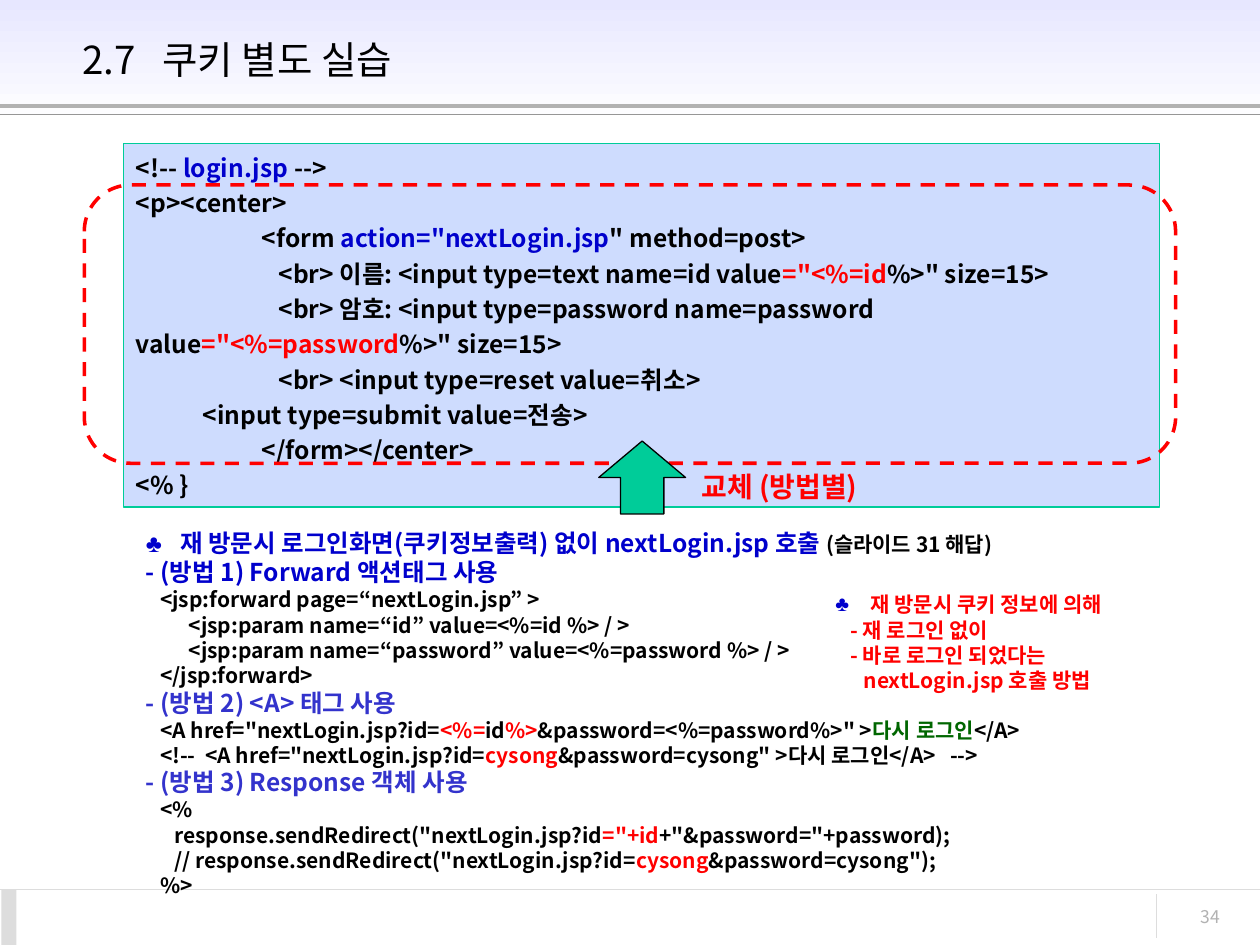
from lxml import etree
from pptx import Presentation
from pptx import util as u
from pptx.dml.color import RGBColor
from pptx.enum import dml, shapes, text
from pptx.oxml import ns

BLACK = RGBColor(0x00, 0x00, 0x00)
WHITE = RGBColor(0xFF, 0xFF, 0xFF)
RED = RGBColor(0xFF, 0x00, 0x00)
BLUE = RGBColor(0x00, 0x00, 0xCC)
VIOLET = RGBColor(0x33, 0x33, 0xCC)
DARK_GREEN = RGBColor(0x00, 0x66, 0x00)
GREEN = RGBColor(0x00, 0xCC, 0x99)
CODE_FILL = RGBColor(0xCE, 0xDC, 0xFE)
LAVENDER = RGBColor(0xE7, 0xE7, 0xFF)
SILVER = RGBColor(0xB2, 0xB2, 0xB2)
GRAY = RGBColor(0x96, 0x96, 0x96)
LIGHT_GRAY = RGBColor(0xDD, 0xDD, 0xDD)


class SlideBuilder:
    font = "Noto Sans CJK KR"
    symbol_font = "Arial"

    def __init__(self, slide):
        self.slide = slide

    def sub(self, parent, tag, **attributes):
        return etree.SubElement(parent, ns.qn(tag), attributes)

    def shape(self, kind, box, fill=None, line=None, width=0.75):
        shape = self.slide.shapes.add_shape(kind, *map(u.Cm, box))
        shape.shadow.inherit = False
        if fill is None:
            shape.fill.background()
        else:
            shape.fill.solid()
            shape.fill.fore_color.rgb = fill
        if line is None:
            shape.line.fill.background()
        else:
            shape.line.color.rgb = line
            shape.line.width = u.Pt(width)
        return shape

    def line(self, start, end, color, width=0.75):
        line = self.slide.shapes.add_connector(
            shapes.MSO_CONNECTOR.STRAIGHT, *map(u.Cm, start + end))
        line.line.color.rgb = color
        line.line.width = u.Pt(width)
        self.sub(line._element.spPr, "a:effectLst")

    def text_box(self, box, paragraphs, **style):
        shape = self.slide.shapes.add_textbox(*map(u.Cm, box))
        self.fill_text(shape.text_frame, paragraphs, **style)
        return shape

    def fill_text(self, frame, paragraphs, anchor=text.MSO_ANCHOR.TOP, **style):
        """Fill a frame; each paragraph is a list of runs."""
        frame.word_wrap = True
        frame.vertical_anchor = anchor
        for i, runs in enumerate(paragraphs):
            paragraph = frame.paragraphs[0] if i == 0 else frame.add_paragraph()
            self.paragraph(paragraph, runs, **style)

    def paragraph(self, paragraph, runs, size=12, bold=True, spacing=1.0,
                  align=text.PP_ALIGN.LEFT, tab=None):
        """A run is a string or (string, colour[, size[, font]])."""
        paragraph_format = {"alignment": align, "line_spacing": spacing}
        for name, value in paragraph_format.items():
            setattr(paragraph, name, value)
        if tab and "\t" in "".join(r if isinstance(r, str) else r[0] for r in runs):
            tabs = self.sub(paragraph._p.get_or_add_pPr(), "a:tabLst")
            self.sub(tabs, "a:tab", pos=str(u.Cm(tab)), algn="l")
        for part in runs:
            part = (part,) if isinstance(part, str) else part
            defaults = (None, BLACK, size, self.font)
            words, color, points, font = part + defaults[len(part):]
            run = paragraph.add_run()
            run.text = words
            font_format = {"size": u.Pt(points), "bold": bold, "name": font}
            for name, value in font_format.items():
                setattr(run.font, name, value)
            run.font.color.rgb = color
            self.sub(run._r.get_or_add_rPr(), "a:ea", typeface=font)

    def indent(self, paragraph, left, bullet=None, color=None):
        pPr = paragraph._p.get_or_add_pPr()
        pPr.set("marL", str(u.Cm(left)))
        if bullet:
            pPr.set("indent", str(-u.Cm(left)))
            self.sub(self.sub(pPr, "a:buClr"), "a:srgbClr", val=str(color))
            self.sub(pPr, "a:buFont", typeface=self.symbol_font)
            self.sub(pPr, "a:buChar", char=bullet)


def main():
    deck = Presentation()
    deck.slide_width, deck.slide_height = u.Cm(25.4), u.Cm(19.05)
    slide = deck.slides.add_slide(deck.slide_layouts[5])
    b = SlideBuilder(slide)
    kinds = shapes.MSO_SHAPE

    # Header band and rules
    header = b.shape(kinds.RECTANGLE, (0, 0, 25.4, 2.54), WHITE)
    header.fill.gradient()
    header.fill.gradient_angle = 270
    for stop, color, position in zip(header.fill.gradient_stops, (LAVENDER, WHITE), (0, 1)):
        stop.color.rgb = color
        stop.position = position
    b.line((0, 2.13), (25.4, 2.13), SILVER, 2.25)
    b.line((0, 2.31), (25.4, 2.31), GRAY)

    # Footer with page number
    b.line((0, 17.93), (25.4, 17.93), LIGHT_GRAY)
    b.shape(kinds.RECTANGLE, (0.03, 17.93, 0.3, 1.12), LIGHT_GRAY)
    b.line((23.32, 18.03), (23.32, 18.9), LIGHT_GRAY)
    b.text_box((22.5, 18.14, 2.34, 0.84), [[("34", SILVER)]],
               size=10, bold=False, align=text.PP_ALIGN.RIGHT)

    # Title, moved in front of the header band
    title = slide.shapes.title
    title_box = {"left": 1.4, "top": 0.33, "width": 21.92, "height": 1.73}
    for name, value in title_box.items():
        setattr(title, name, u.Cm(value))
    b.fill_text(title.text_frame, [["2.7\t쿠키 별도 실습"]], size=22, bold=False,
                anchor=text.MSO_ANCHOR.MIDDLE, tab=1.62)
    slide.shapes._spTree.append(title._element)

    # Login form code
    login_code = [
        ["<!-- ", ("login.jsp ", BLUE), "-->"],
        ["<p><center>"],
        ["\t<form ", ('action="nextLogin.jsp', BLUE), '" method=post>'],
        ["\t   <br> 이름: <input type=text name=id value", ('="<%=id', RED),
         '%>" size=15>'],
        ["\t   <br> 암호: <input type=password name=password value",
         ('="<%=password', RED), '%>" size=15>'],
        ["\t   <br> <input type=reset value=취소>"],
        ["            <input type=submit value=전송>"],
        ["\t</form></center>"],
        ["<% }"],
    ]
    code_panel = b.shape(kinds.RECTANGLE, (2.49, 2.9, 20.88, 7.32), CODE_FILL, GREEN)
    b.fill_text(code_panel.text_frame, login_code, size=14, spacing=1.2, tab=2.54)
    code_panel.text_frame.paragraphs[0].line_spacing = 1.1

    # Dashed frame around the part to replace
    replaced_part = b.shape(kinds.ROUNDED_RECTANGLE, (1.7, 3.73, 22, 5.61), line=RED, width=2)
    replaced_part.line.dash_style = dml.MSO_LINE.DASH

    # Three ways to call the next page
    methods = [
        [("♣\t", BLUE, 14, b.symbol_font),
         ("재 방문시 로그인화면(쿠키정보출력) 없이 nextLogin.jsp 호출 ", BLUE, 14),
         "(슬라이드 31 해답)"],
        [("- (방법 1) Forward 액션태그 사용", BLUE, 14)],
        ["   <jsp:forward page=“nextLogin.jsp” >"],
        ["         <jsp:param name=“id” value=<%=id %> / >"],
        ["         <jsp:param name=“password” value=<%=password %> / >"],
        ["   </jsp:forward>"],
        [("- (방법 2) <A> 태그 사용", VIOLET, 14)],
        ['   <A href="nextLogin.jsp?id=', ("<%=", RED), "id", ("%>", RED),
         '&password=<%=password%>" >', ("다시 로그인", DARK_GREEN), "</A>"],
        ['   <!--  <A href="nextLogin.jsp?id=', ("cysong", RED),
         '&password=cysong" >다시 로그인</A>   -->'],
        [("- (방법 3) Response 객체 사용", VIOLET, 14)],
        ["   <%"],
        ['      response.sendRedirect("nextLogin.jsp?id', ('="+id', RED),
         '+"&password="+password);'],
        ['      // response.sendRedirect("nextLogin.jsp?id=', ("cysong", RED),
         '&password=cysong");'],
        ["   %>"],
    ]
    b.text_box((2.69, 10.52, 21.41, 8.23), methods, tab=0.69)

    # Side remark
    remark_lines = ["재 방문시 쿠키 정보에 의해", "- 재 로그인 없이",
                    "- 바로 로그인 되었다는", "nextLogin.jsp 호출 방법"]
    remark = b.text_box((16.59, 11.81, 7.52, 2.29), [[(line, RED)] for line in remark_lines])
    first, *others = remark.text_frame.paragraphs
    b.indent(first, 0.71, "♣", BLUE)
    for paragraph, left in zip(others, (0.3, 0.3, 0.57)):
        b.indent(paragraph, left)

    # Replacement arrow and label
    arrow = b.shape(kinds.DOWN_ARROW, (12.07, 8.89, 1.75, 1.47), GREEN, BLACK)
    arrow.rotation = 180
    b.text_box((13.89, 9.35, 7.52, 0.94), [[("교체 (방법별)", RED)]], size=16)

    deck.save("out.pptx")


if __name__ == "__main__":
    main()
